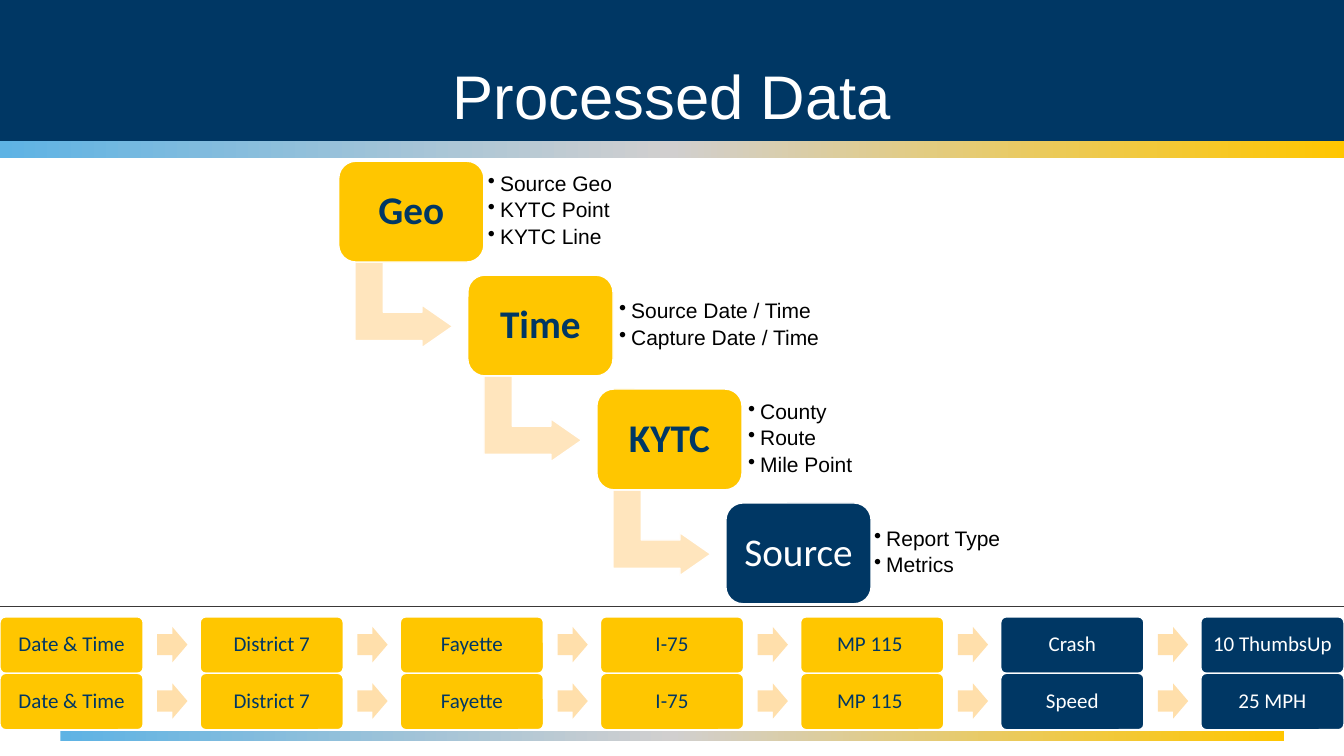
from copy import deepcopy

from lxml import etree
from pptx import Presentation
from pptx.dml.color import RGBColor
from pptx.enum.shapes import MSO_CONNECTOR, MSO_SHAPE as Preset
from pptx.enum.text import MSO_ANCHOR as Anchor, PP_ALIGN as Align
from pptx.oxml.ns import qn
from pptx.util import Inches, Pt

NAVY = RGBColor(0x00, 0x37, 0x64)
GOLD = RGBColor(0xFF, 0xC6, 0x00)
SKY = RGBColor(0x5E, 0xB3, 0xE4)
GREY = RGBColor(0xD1, 0xCF, 0xCF)
CREAM = RGBColor(0xFF, 0xE5, 0xBD)
PEACH = RGBColor(0xFF, 0xDF, 0xAB)
CHARCOAL = RGBColor(0x3A, 0x38, 0x38)
BLACK = RGBColor(0x00, 0x00, 0x00)
WHITE = RGBColor(0xFF, 0xFF, 0xFF)

WIDTH, HEIGHT = 13.33, 7.5


class SlideBuilder:
    heading_font = "Arial"
    label_font = "Calibri"
    line_spacing = 0.9

    def __init__(self, page):
        self.page = page

    def add_text(self, para, text, size, font, color, bold=False, align=Align.LEFT):
        para.alignment = align
        para.line_spacing = self.line_spacing
        span = para.add_run()
        span.text = text
        span.font.size = Pt(size)
        span.font.name = font
        span.font.color.rgb = color
        span.font.bold = bold

    def frame(self, box, inset):
        frame = box.text_frame
        frame.vertical_anchor = Anchor.MIDDLE
        frame.margin_left = frame.margin_right = Inches(inset)
        frame.margin_top = frame.margin_bottom = Inches(inset)
        return frame

    def title(self, text, left, top, width, height):
        box = self.page.shapes.title
        box.left, box.top = Inches(left), Inches(top)
        box.width, box.height = Inches(width), Inches(height)
        para = self.frame(box, 0.05).paragraphs[0]
        self.add_text(para, text, 44, self.heading_font, WHITE, align=Align.CENTER)

    def shape(self, preset, left, top, width, height, color, adjustments=(), outline=False):
        box = self.page.shapes.add_shape(
            preset, Inches(left), Inches(top), Inches(width), Inches(height))
        box.shadow.inherit = False
        box.fill.solid()
        box.fill.fore_color.rgb = color
        if outline:
            box.line.color.rgb = WHITE
            box.line.width = Pt(1)
        else:
            box.line.fill.background()
        for index, value in enumerate(adjustments):
            box.adjustments[index] = value
        return box

    def band(self, left, top, width, height, colors):
        """A bar behind the title: plain for one color, a gradient for more."""
        bar = self.shape(Preset.RECTANGLE, left, top, width, height, colors[0])
        if len(colors) > 1:
            bar.fill.gradient()
            bar.fill.gradient_angle = 0
            stop_list = next(bar._element.iter(qn("a:gsLst")))
            for _ in colors[2:]:
                stop_list.append(deepcopy(stop_list[0]))
            for index, stop in enumerate(bar.fill.gradient_stops):
                stop.color.rgb = colors[index]
                stop.position = index / (len(colors) - 1)
        self.page.shapes.title._element.addprevious(bar._element)

    def label_box(self, text, left, top, width, height, color, corner, size, inset, bold=False):
        box = self.shape(Preset.ROUNDED_RECTANGLE, left, top, width, height,
                         color, [corner], outline=True)
        frame = self.frame(box, inset)
        frame.word_wrap = False
        ink = WHITE if color == NAVY else NAVY
        self.add_text(frame.paragraphs[0], text, size, self.label_font, ink, bold, Align.CENTER)

    def bullets(self, items, left, top, width, height):
        box = self.page.shapes.add_textbox(
            Inches(left), Inches(top), Inches(width), Inches(height))
        frame = self.frame(box, 0.06)
        frame.word_wrap = True
        for index, item in enumerate(items):
            para = frame.add_paragraph() if index else frame.paragraphs[0]
            props = para._p.get_or_add_pPr()
            props.set("marL", str(Inches(0.12)))
            props.set("indent", str(Inches(-0.12)))
            etree.SubElement(props, qn("a:buChar")).set("char", "•")
            para.level = 1
            para.space_after = Pt(2.7)
            self.add_text(para, item, 15, self.heading_font, BLACK)

    def rule(self, top, color):
        line = self.page.shapes.add_connector(
            MSO_CONNECTOR.STRAIGHT, 0, Inches(top), Inches(WIDTH), Inches(top))
        line.line.color.rgb = color
        line.line.width = Pt(1)
        etree.SubElement(line._element.spPr, qn("a:effectLst"))


# Each step: label, fill, left and width of its list, list items
STEPS = [
    ("Geo", GOLD, 4.78, 1.43, ["Source Geo", "KYTC Point", "KYTC Line"]),
    ("Time", GOLD, 6.08, 2.15, ["Source Date / Time", "Capture Date / Time"]),
    ("KYTC", GOLD, 7.36, 1.37, ["County", "Route", "Mile Point"]),
    ("Source", NAVY, 8.61, 1.64, ["Report Type", "Metrics"]),
]
SHARED_FIELDS = ["Date & Time", "District 7", "Fayette", "I-75", "MP 115 "]
FLOWS = [["Crash", "10 ThumbsUp"], ["Speed", "25 MPH"]]


def main():
    deck = Presentation()
    deck.slide_width, deck.slide_height = Inches(WIDTH), Inches(HEIGHT)
    builder = SlideBuilder(deck.slides.add_slide(deck.slide_layouts[5]))

    # Header and footer bands
    sunrise = [SKY, GREY, GOLD]
    builder.band(0, 0, WIDTH, 1.4, [NAVY])
    builder.band(0, 1.4, WIDTH, 0.17, sunrise)
    builder.band(0.6, 7.25, 12.14, 0.1, sunrise)
    builder.title("Processed Data", 0, 0.39, WIDTH, 1.19)

    # Staircase of processing steps
    for index, (label, color, list_left, list_width, items) in enumerate(STEPS):
        left, top = 3.36 + 1.28 * index, 1.6 + 1.13 * index
        if index < len(STEPS) - 1:
            arrow = builder.shape(Preset.BENT_UP_ARROW, left + 0.22, top + 0.94, 0.85, 0.97,
                                  CREAM, [0.33, 0.25, 0.36], outline=True)
            arrow.rotation = 90
        builder.label_box(label, left, top, 1.44, 1, color, 0.17, 28, 0.12, color == GOLD)
        builder.bullets(items, list_left, top + 0.09, list_width, 0.81)

    builder.rule(6.02, CHARCOAL)

    # Example records, one flow per row
    box_width = 1.42
    for row, measures in enumerate(FLOWS):
        fields = SHARED_FIELDS + measures
        pitch = (WIDTH - box_width) / (len(fields) - 1)
        top = 6.12 + 0.56 * row
        for column, field in enumerate(fields):
            left = pitch * column
            color = GOLD if column < len(SHARED_FIELDS) else NAVY
            builder.label_box(field, left, top, box_width, 0.56, color, 0.1, 15, 0.06)
            if column < len(fields) - 1:
                builder.shape(Preset.RIGHT_ARROW, left + 1.56, top + 0.1, 0.3, 0.35,
                              PEACH, [0.6, 0.5])

    deck.save("out.pptx")


if __name__ == "__main__":
    main()
